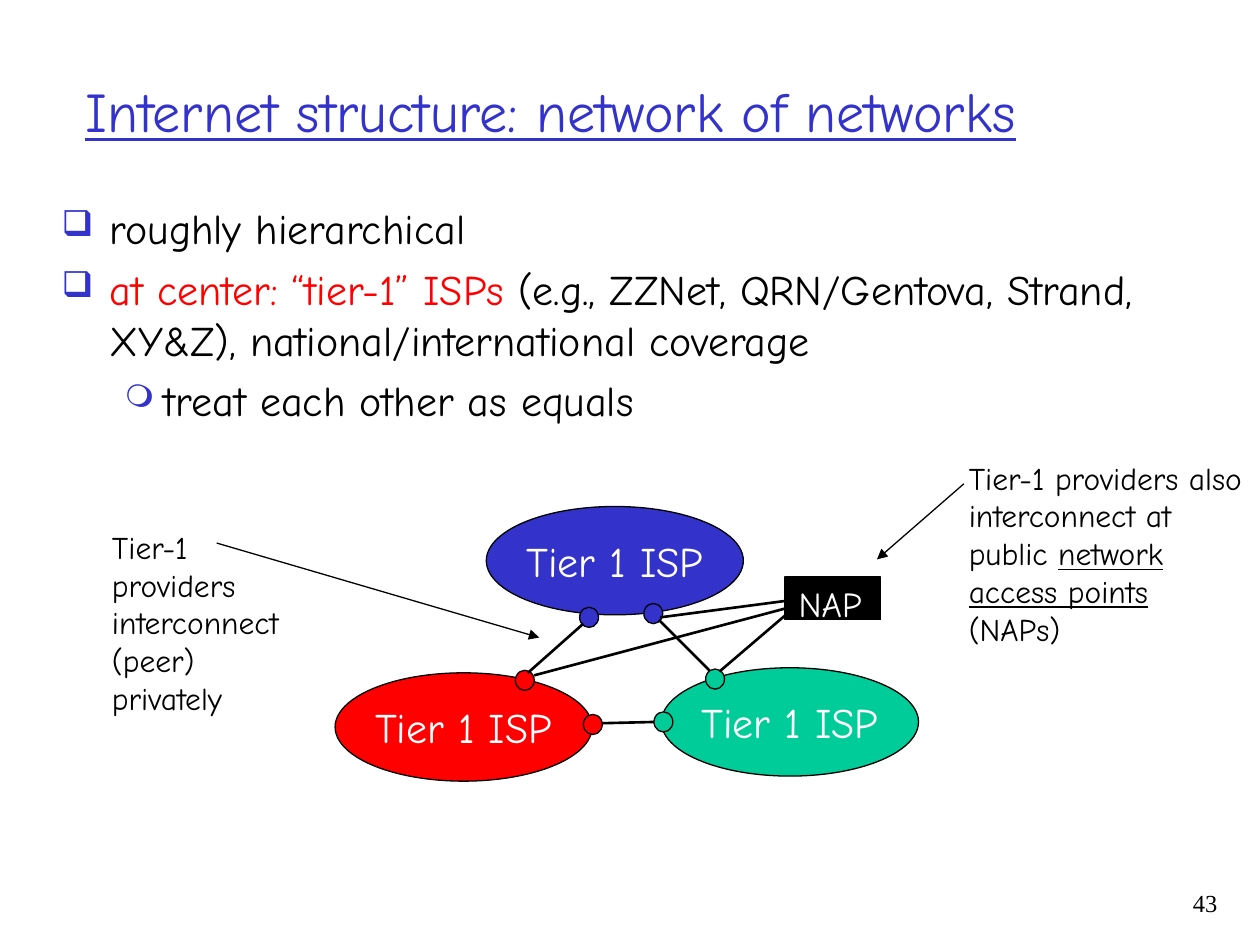
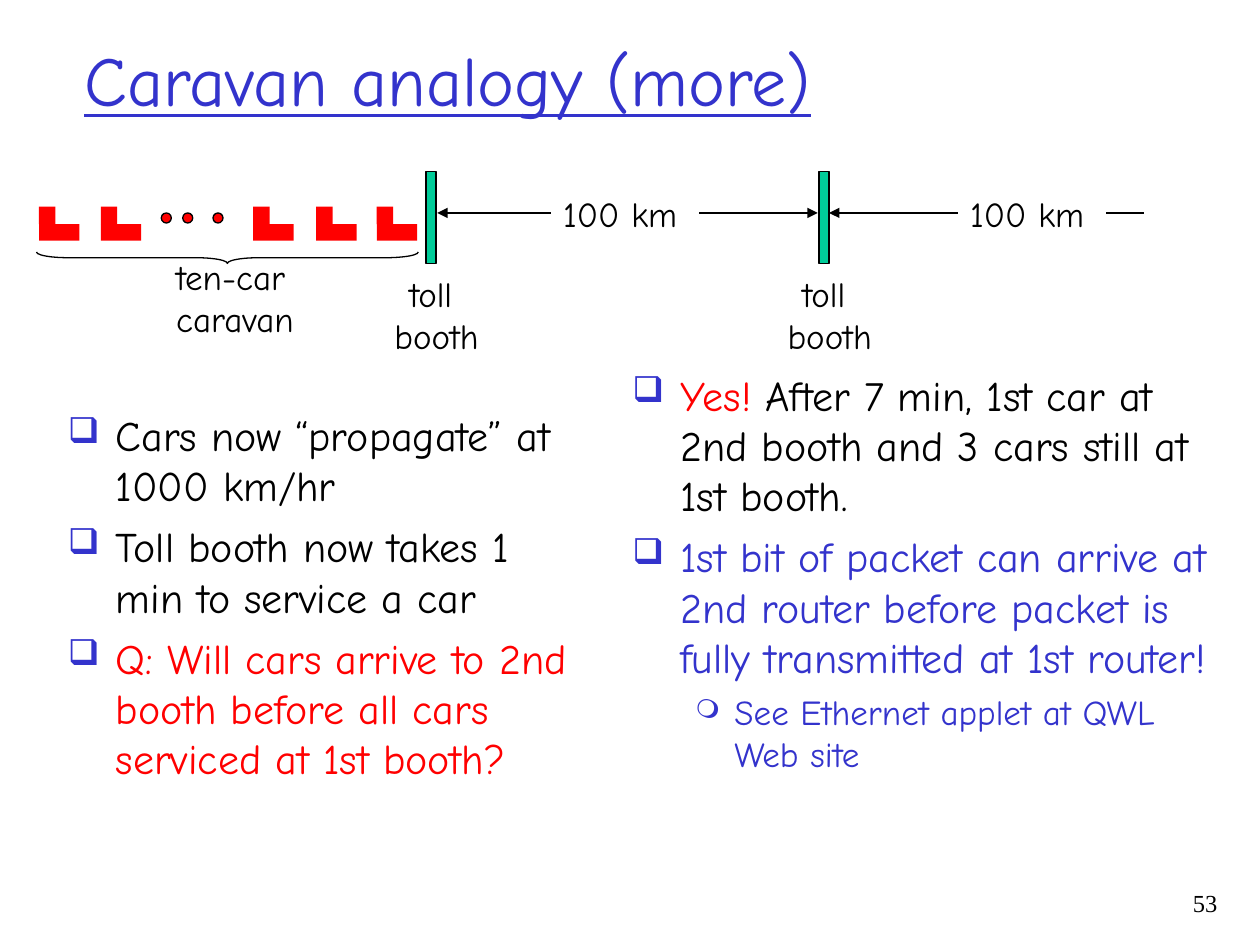
import dataclasses

import pptx
import pptx.dml.color
import pptx.enum.shapes
import pptx.enum.text
import pptx.oxml.ns
import pptx.util
from lxml import etree

Inches = pptx.util.Inches
Pt = pptx.util.Pt
RGBColor = pptx.dml.color.RGBColor
Shape = pptx.enum.shapes.MSO_SHAPE
Align = pptx.enum.text.PP_ALIGN
Anchor = pptx.enum.text.MSO_ANCHOR
qn = pptx.oxml.ns.qn

BLUE = RGBColor(0x33, 0x33, 0xCC)
GREEN = RGBColor(0x00, 0xCC, 0x99)
RED = RGBColor(0xFF, 0x00, 0x00)
BLACK = RGBColor(0x00, 0x00, 0x00)
WHITE = RGBColor(0xFF, 0xFF, 0xFF)

BODY_FONT = "Comic Neue"
NUMBER_FONT = "Times New Roman"
BULLETS = [
    {"char": "❑", "percent": 85, "margin": 0.38, "hang": 0.38},
    {"char": "❍", "percent": 75, "margin": 0.81, "hang": 0.31},
]


@dataclasses.dataclass
class Box:
    """A rectangle in inches."""
    left: float
    top: float
    width: float = 0
    height: float = 0

    def inner(self, left, top, width=0, height=0):
        """Return a box placed relative to this one."""
        return Box(self.left + left, self.top + top, width, height)

    def lengths(self):
        """Return left, top, width and height as lengths."""
        return [Inches(side) for side in dataclasses.astuple(self)]


def assign(target, values):
    """Set each named attribute of the target."""
    for name, value in values.items():
        setattr(target, name, value)


def add_spans(para, spans, size, color=BLACK, font=BODY_FONT):
    """Add (text, format values) spans to a paragraph."""
    for text, changes in spans:
        for index, line in enumerate(text.split("\n")):
            if index:
                para.add_line_break()
            span = para.add_run()
            span.text = line
            values = {"size": Pt(size), "name": font, **changes}
            span.font.color.rgb = values.pop("color", color)
            assign(span.font, values)


def add_text(page, box, paragraphs, size, color=BLACK, font=BODY_FONT,
             align=Align.LEFT, anchor=Anchor.TOP, wrap=True):
    """Add a text box with one list of spans per paragraph."""
    frame = page.shapes.add_textbox(*box.lengths()).text_frame
    assign(frame, {"word_wrap": wrap, "vertical_anchor": anchor})
    for index, spans in enumerate(paragraphs):
        para = frame.paragraphs[0] if index == 0 else frame.add_paragraph()
        para.alignment = align
        add_spans(para, spans, size, color, font)
    return frame


def add_shape(page, kind, box, fill, outlined=True):
    """Add a flat preset shape."""
    shape = page.shapes.add_shape(kind, *box.lengths())
    shape.shadow.inherit = False
    if fill is None:
        shape.fill.background()
    else:
        shape.fill.solid()
        shape.fill.fore_color.rgb = fill
    if outlined:
        shape.line.color.rgb = BLACK
        shape.line.width = Pt(0.75)
    else:
        shape.line.fill.background()
    return shape


def add_line(page, box, start, end, width=0.75, arrow=False):
    """Draw a line between two points relative to the box."""
    ends = [Inches(length) for x, y in (start, end)
            for length in (box.left + x, box.top + y)]
    line = page.shapes.add_connector(pptx.enum.shapes.MSO_CONNECTOR.STRAIGHT, *ends)
    line.line.color.rgb = BLACK
    line.line.width = Pt(width)
    properties = line._element.spPr
    if arrow:
        etree.SubElement(properties.find(qn("a:ln")), qn("a:tailEnd"), type="triangle")
    etree.SubElement(properties, qn("a:effectLst"))


def add_bullet(para, level):
    """Give a paragraph the bullet and indent of its level."""
    bullet = BULLETS[level]
    para.level = level
    properties = para._p.get_or_add_pPr()
    properties.set("marL", str(Inches(bullet["margin"])))
    properties.set("indent", str(-Inches(bullet["hang"])))
    color = etree.SubElement(properties, qn("a:buClr"))
    etree.SubElement(color, qn("a:srgbClr"), val=str(BLUE))
    etree.SubElement(properties, qn("a:buSzPct"), val=str(bullet["percent"] * 1000))
    etree.SubElement(properties, qn("a:buChar"), char=bullet["char"])


def bullet_list(page, box, items):
    """Add a bulleted list of (level, size, spans) items."""
    frame = add_text(page, box, [[]], 24)
    for index, (level, size, spans) in enumerate(items):
        para = frame.paragraphs[0] if index == 0 else frame.add_paragraph()
        para.space_before = Pt(size / 4)
        add_bullet(para, level)
        add_spans(para, spans, size)


def new_page(deck, title, title_box, title_size, number):
    """Add a blank page with its title and page number."""
    page = deck.slides.add_slide(deck.slide_layouts[6])
    add_text(page, title_box, [[(title, {"underline": True})]], title_size, BLUE,
             anchor=Anchor.MIDDLE)
    add_text(page, Box(9.08, 7, 0.68, 0.5), [[(number, {})]], 14,
             font=NUMBER_FONT, align=Align.RIGHT)
    return page


def isp_network(page, box):
    """Draw the three providers, their peering points and the NAP."""
    for left, top, color in [(0, 1.32, RED), (1.2, 0, BLUE), (2.59, 1.28, GREEN)]:
        provider = add_shape(page, Shape.OVAL, box.inner(left, top, 2.04, 0.86), color)
        frame = provider.text_frame
        assign(frame, {"word_wrap": False, "vertical_anchor": Anchor.MIDDLE})
        frame.paragraphs[0].alignment = Align.CENTER
        add_spans(frame.paragraphs[0], [("Tier 1 ISP", {})], 24, WHITE)
    peering_points = [
        (2.94, 1.29, GREEN), (2.53, 1.63, GREEN), (2.45, 0.77, BLUE),
        (1.94, 0.8, BLUE), (1.43, 1.3, RED), (1.97, 1.65, RED),
    ]
    for left, top, color in peering_points:
        add_shape(page, Shape.OVAL, box.inner(left, top, 0.15, 0.16), color)
    add_shape(page, Shape.RECTANGLE, box.inner(3.57, 0.56, 0.76, 0.34), BLACK)
    add_text(page, box.inner(3.58, 0.55, 0.7, 0.44), [[("NAP", {})]], 20, WHITE,
             wrap=False)
    links = [
        ((2.12, 1.72), (2.53, 1.71)), ((2.57, 0.9), (2.97, 1.3)),
        ((1.53, 1.32), (1.97, 0.93)), ((3.6, 0.84), (3.05, 1.31)),
        ((3.57, 0.75), (2.58, 0.88)), ((3.57, 0.81), (1.58, 1.34)),
    ]
    for start, end in links:
        add_line(page, box, start, end, 1.5)


def note(page, box, spans, start, end):
    """Add a remark with an arrow to what it explains."""
    add_text(page, box, [spans], 18)
    add_line(page, box, start, end, arrow=True)


def car(page, box):
    """Draw one car from a cab and a body."""
    for part in [box.inner(0, 0.14, 0.32, 0.13), box.inner(0, 0, 0.13, 0.14)]:
        add_shape(page, Shape.RECTANGLE, part, RED, outlined=False)


def caravan(page, box):
    """Draw the row of cars with its brace and caption."""
    for left in (0, 0.49, 1.7, 2.2, 2.68):
        car(page, box.inner(left, 0.28))
    for left in (0.97, 1.14, 1.38):
        add_shape(page, Shape.OVAL, box.inner(left, 0.33, 0.08, 0.08), RED)
    brace = add_shape(page, Shape.LEFT_BRACE, box.inner(1.45, -0.83, 0.09, 3.03), None)
    brace.rotation = 270
    brace.adjustments[0] = 2.8
    add_text(page, box.inner(0.99, 0.62, 1.16, 0.77),
             [[("ten-car", {})], [("caravan", {})]], 20, wrap=False)


def toll_road(page, box):
    """Draw the caravan, the toll booths and the distances."""
    caravan(page, box)
    for left in (3.07, 6.19):
        add_shape(page, Shape.RECTANGLE, box.inner(left, 0, 0.08, 0.73), GREEN)
        add_text(page, box.inner(left - 0.35, 0.75, 0.87, 0.77),
                 [[("toll ", {})], [("booth", {})]], 20, align=Align.CENTER, wrap=False)
    for left in (4.06, 7.29):
        add_text(page, box.inner(left, 0.12, 1.18, 0.44), [[("100 km", {})]], 20)
    for start, end, arrow in [(4.06, 3.16, True), (5.24, 6.18, True),
                              (7.29, 6.27, True), (8.47, 8.77, False)]:
        add_line(page, box, (start, 0.33), (end, 0.33), arrow=arrow)


def structure_page(deck):
    """Build the page on the structure of the Internet."""
    page = new_page(deck, "Internet structure: network of networks",
                    Box(0.58, 0.25, 8.85, 1.25), 32, "43")
    bullet_list(page, Box(0.39, 1.56, 9.23, 5.08), [
        (0, 24, [("roughly hierarchical", {})]),
        (0, 24, [("at center: “tier-1” ISPs ", {"color": RED}),
                 ("(e.g., ZZNet, QRN/Gentova, Strand, XY&Z), "
                  "national/international coverage", {})]),
        (1, 24, [("treat each other as equals", {})]),
    ])
    isp_network(page, Box(2.66, 4.02, 4.63, 2.18))
    note(page, Box(0.79, 4.14, 1.71, 1.6),
         [("Tier-1 providers interconnect (peer) privately", {})],
         (0.93, 0.17), (3.49, 0.92))
    note(page, Box(7.59, 3.59, 2.41, 1.6),
         [("Tier-1 providers also interconnect at public ", {}),
          ("network access points", {"underline": True}), (" (NAPs)", {})],
         (0.06, 0.25), (-0.63, 0.85))


def caravan_page(deck):
    """Build the page on the caravan analogy."""
    page = new_page(deck, "Caravan analogy (more)", Box(0.57, 0, 8.5, 1.25), 40, "53")
    bullet_list(page, Box(0.44, 3.2, 4.31, 3.63), [
        (0, 24, [("Cars now “propagate” at \n1000 km/hr", {})]),
        (0, 24, [("Toll booth now takes 1 min to service a car", {})]),
        (0, 24, [("Q: Will cars arrive to 2nd booth before all cars "
                  "serviced at 1st booth?", {"color": RED})]),
    ])
    bullet_list(page, Box(4.92, 2.88, 4.78, 3.68), [
        (0, 24, [("Yes!", {"color": RED}),
                 (" After 7 min, 1st car at 2nd booth and 3 cars still at "
                  "1st booth.", {})]),
        (0, 24, [("1st bit of packet can arrive at 2nd router before packet is "
                  "fully transmitted at 1st router!", {"color": BLUE})]),
        (1, 20, [("See Ethernet applet at QWL Web site", {"color": BLUE})]),
    ])
    toll_road(page, Box(0.31, 1.36, 8.77, 1.52))


def main():
    """Build the deck and save it."""
    deck = pptx.Presentation()
    assign(deck, {"slide_width": Inches(10), "slide_height": Inches(7.5)})
    structure_page(deck)
    caravan_page(deck)
    deck.save("out.pptx")


if __name__ == "__main__":
    main()
